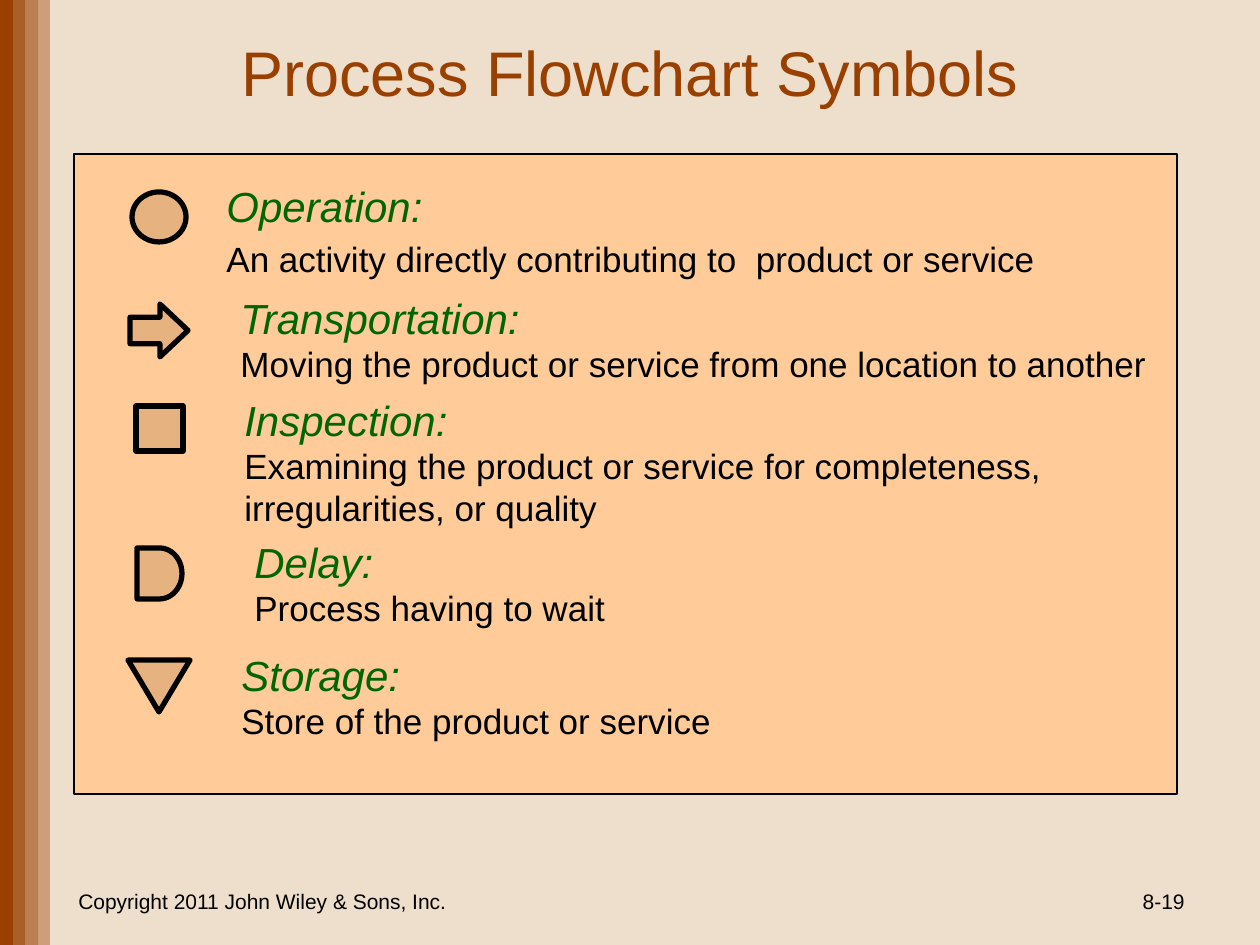
from typing import NamedTuple

from lxml.etree import SubElement
from pptx import Presentation
from pptx.dml.color import RGBColor
from pptx.enum.shapes import MSO_SHAPE as Geo
from pptx.enum.text import MSO_ANCHOR as Anchor, PP_ALIGN as Align
from pptx.oxml.ns import qn
from pptx.util import Emu, Pt

SCALE = 914400 / 126
BROWN, BLACK, GREEN = "994000", "000000", "006600"
SAND, PEACH, TAN = "EEDFCC", "FFCC99", "E6B380"


class Box(NamedTuple):
    left: int
    top: int
    width: int
    height: int


class Line(NamedTuple):
    text: str
    size: int
    color: str
    slant: bool = False
    before: int = 0


class Entry(NamedTuple):
    name: str
    note: str
    geo: Geo
    icon: Box
    label: Box
    turn: int = 0
    gap: int = 0


ENTRIES = [
    Entry("Operation:", "An activity directly contributing to  product or service",
          Geo.OVAL, Box(132, 192, 54, 50), Box(214, 174, 936, 115), gap=4),
    Entry("Transportation:", "Moving the product or service from one location to another",
          Geo.RIGHT_ARROW, Box(130, 304, 58, 53), Box(228, 286, 956, 106)),
    Entry("Inspection:",
          "Examining the product or service for completeness, irregularities, or quality",
          Geo.RECTANGLE, Box(136, 406, 47, 45), Box(232, 388, 930, 149)),
    Entry("Delay:", "Process having to wait",
          Geo.FLOWCHART_DELAY, Box(137, 548, 45, 51), Box(242, 530, 379, 106)),
    Entry("Storage:", "Store of the product or service",
          Geo.ISOSCELES_TRIANGLE, Box(128, 660, 62, 52), Box(229, 643, 498, 106), turn=180),
]


def px(value: int) -> Emu:
    return Emu(round(value * SCALE))


def rgb(code: str) -> RGBColor:
    return RGBColor.from_string(code)


def draw(slide, geo: Geo, box: Box, fill: str, weight: float = 0, alpha: int = 100):
    shape = slide.shapes.add_shape(geo, *map(px, box))
    shape.shadow.inherit = False
    shape.fill.solid()
    shape.fill.fore_color.rgb = rgb(fill)
    if alpha < 100:
        tint = shape.fill._xPr.find(".//" + qn("a:srgbClr"))
        SubElement(tint, qn("a:alpha"), val=str(alpha * 1000))
    if weight:
        shape.line.color.rgb = rgb(BLACK)
        shape.line.width = Pt(weight)
    else:
        shape.line.fill.background()
    return shape


def write(slide, box: Box, lines: list[Line], align: Align = Align.LEFT,
          anchor: Anchor = Anchor.TOP) -> None:
    frame = slide.shapes.add_textbox(*map(px, box)).text_frame
    frame.word_wrap = True
    frame.vertical_anchor = anchor
    for i, line in enumerate(lines):
        para = frame.add_paragraph() if i else frame.paragraphs[0]
        para.alignment = align
        if line.before:
            para.space_before = Pt(line.before)
        run = para.add_run()
        run.text = line.text
        font = run.font
        font.name = "Arial"
        font.size = Pt(line.size)
        font.italic = line.slant
        font.color.rgb = rgb(line.color)


def place(slide, entry: Entry) -> None:
    icon = draw(slide, entry.geo, entry.icon, TAN, 3)
    icon.rotation = entry.turn
    if entry.geo == Geo.RIGHT_ARROW:
        icon.adjustments[1] = 0.53
    write(slide, entry.label, [Line(entry.name, 24, GREEN, True),
                               Line(entry.note, 20, BLACK, before=entry.gap)])


def main() -> None:
    deck = Presentation()
    deck.slide_width, deck.slide_height = px(1260), px(945)
    slide = deck.slides.add_slide(deck.slide_layouts[6])
    slide.background.fill.solid()
    slide.background.fill.fore_color.rgb = rgb(SAND)

    edges = [round(i * 12.6) for i in range(5)]
    for i, (left, right) in enumerate(zip(edges, edges[1:])):
        draw(slide, Geo.RECTANGLE, Box(left, 0, right - left, 945), BROWN,
             alpha=100 - 20 * i)

    write(slide, Box(63, 10, 1134, 122), [Line("Process Flowchart Symbols", 36, BROWN)],
          Align.CENTER, Anchor.MIDDLE)
    write(slide, Box(63, 876, 399, 50),
          [Line("Copyright 2011 John Wiley & Sons, Inc.", 12, BLACK)],
          Align.CENTER, Anchor.MIDDLE)
    write(slide, Box(903, 876, 294, 50), [Line("8-19", 12, BLACK)],
          Align.RIGHT, Anchor.MIDDLE)

    draw(slide, Geo.RECTANGLE, Box(74, 154, 1103, 640), PEACH, 0.75)
    for entry in ENTRIES:
        place(slide, entry)
    deck.save("out.pptx")


if __name__ == "__main__":
    main()
